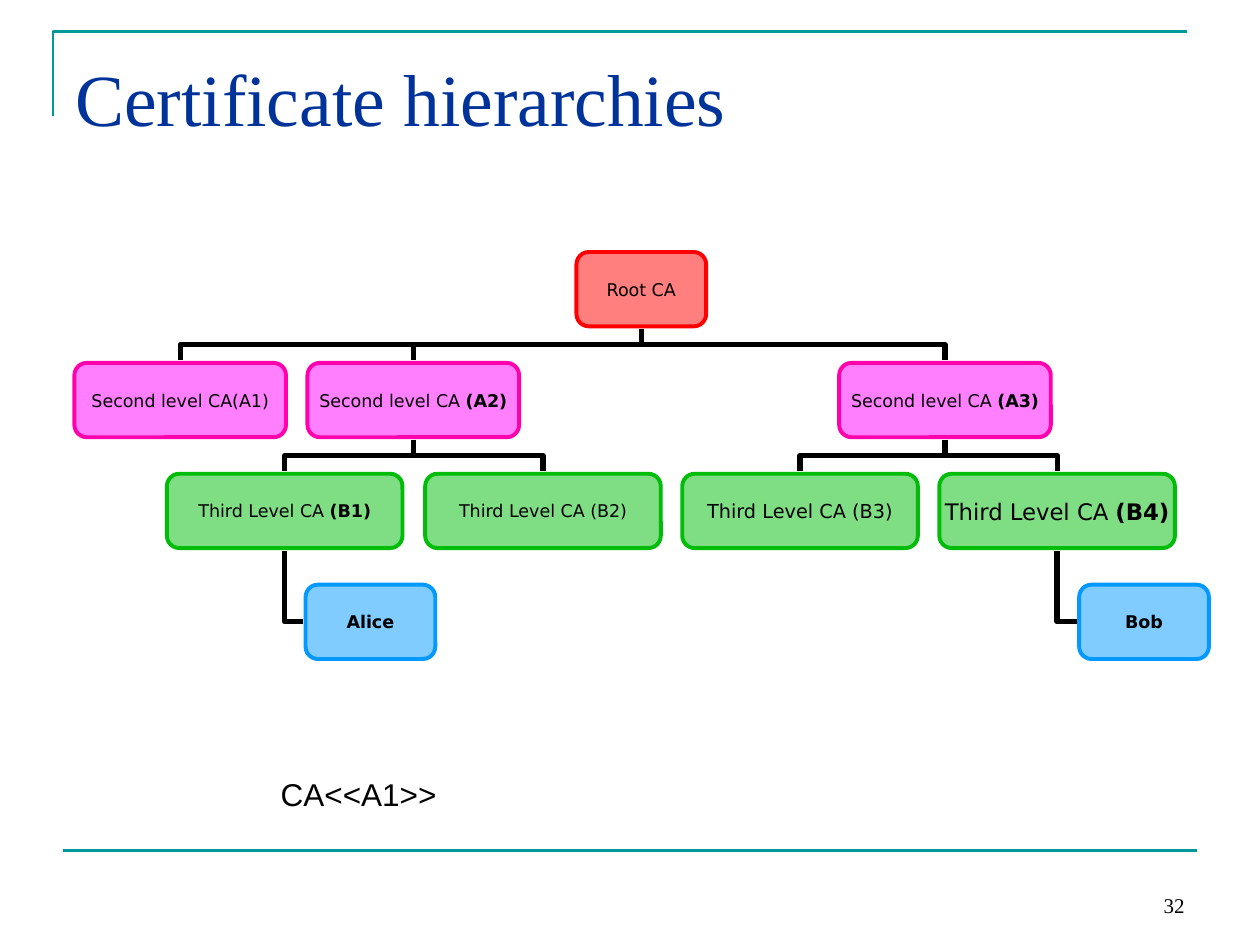
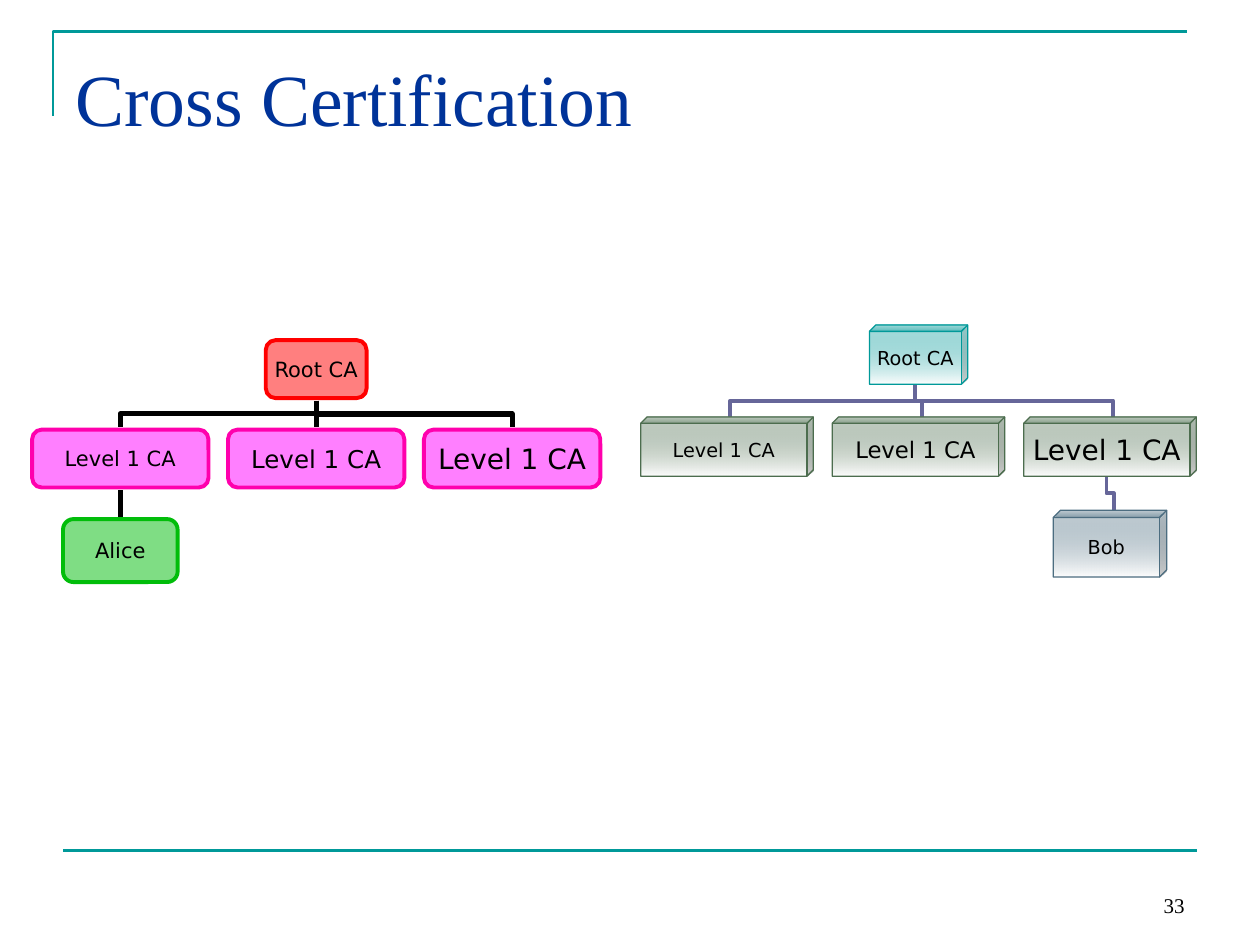
from pptx import Presentation
from pptx.dml.color import RGBColor
from pptx.enum.shapes import MSO_CONNECTOR, MSO_SHAPE
from pptx.enum.text import MSO_ANCHOR, PP_ALIGN
from pptx.oxml.ns import qn
from pptx.util import Inches, Pt

ELBOW, STRAIGHT = MSO_CONNECTOR.ELBOW, MSO_CONNECTOR.STRAIGHT
ROUND, CUBE = MSO_SHAPE.ROUNDED_RECTANGLE, MSO_SHAPE.CUBE
TOP, MIDDLE, BOTTOM = MSO_ANCHOR.TOP, MSO_ANCHOR.MIDDLE, MSO_ANCHOR.BOTTOM
LEFT, CENTER, RIGHT = PP_ALIGN.LEFT, PP_ALIGN.CENTER, PP_ALIGN.RIGHT

WIDE, HIGH = 10, 7.5
TEAL, NAVY, BLACK, WHITE = "009999", "003399", "000000", "FFFFFF"
SERIF, SANS, LABEL = "Times New Roman", "Arial", "DejaVu Sans"
RED, PINK = ("FF0000", "FF0000"), ("FF00FF", "FF00AD")
GREEN, BLUE = ("01BD0A", "01BD0A"), ("0399FF", "0399FF")
AQUA, MOSS, SLATE = (TEAL, TEAL), ("4C6D4E", "4C6D4E"), ("4C6D80", "4C6D80")

FLAT = dict(kind=ROUND, adj=0.167, alpha=50, edge=2.25, wire=(BLACK, 3), gap=0.02)
SOLID = dict(kind=CUBE, adj=0.108, alpha=40, edge=0.75, wire=("666699", 2.25), gap=0)

# levels: top, width, height, colours; nodes: key, parent, level, centre, size, plain, bold
CHAIN = dict(
    look=FLAT,
    levels=[(2 + 0.88 * row, width, 0.59, tint) for row, (width, tint) in
            enumerate([(1.03, RED), (1.68, PINK), (1.87, GREEN), (1.03, BLUE)])],
    nodes=[
        ("root", None, 0, 5.09, 10, "Root CA", ""),
        ("A1", "root", 1, 1.43, 10, "Second level CA(A1)", ""),
        ("A2", "root", 1, 3.28, 10, "Second level CA ", "(A2)"),
        ("A3", "root", 1, 7.5, 10, "Second level CA ", "(A3)"),
        ("B1", "A2", 2, 2.26, 10, "Third Level CA ", "(B1)"),
        ("B2", "A2", 2, 4.31, 10, "Third Level CA (B2)", ""),
        ("B3", "A3", 2, 6.35, 11, "Third Level CA (B3)", ""),
        ("B4", "A3", 2, 8.39, 13, "Third Level CA ", "(B4)"),
        ("Alice", "B1", 3, 2.94, 10, "", "Alice"),
        ("Bob", "B4", 3, 9.08, 10, "", "Bob"),
    ])


def cross(look, levels, mid, step, sizes, leaf, owner):
    """Describe a root with three CAs and one user under the CA numbered owner."""
    nodes = [("root", None, 0, mid, sizes[0], "Root CA", "")]
    nodes += [(col, "root", 1, mid + (col - 1) * step, size, "Level 1 CA", "")
              for col, size in enumerate(sizes)]
    nodes.append((leaf, owner, 2, mid + (owner - 1) * step, sizes[0], leaf, ""))
    return dict(look=look, levels=levels, nodes=nodes)


ALICE = cross(FLAT, [(2.7, 0.8, 0.46, RED), (3.41, 1.4, 0.46, PINK),
                     (4.12, 0.91, 0.5, GREEN)], 2.51, 1.555, (12, 14, 16), "Alice", 0)
BOB = cross(SOLID, [(2.58, 0.78, 0.47, AQUA), (3.31, 1.37, 0.47, MOSS),
                    (4.05, 0.9, 0.53, SLATE)], 7.29, 1.52, (11, 13, 16), "Bob", 2)

SLIDES = [
    (32, "Certificate hierarchies", [CHAIN], [(2.13, 6.1, 4.54, 0.4, "CA<<A1>>")]),
    (33, "Cross Certification", [ALICE, BOB], []),
]


def paint(hue):
    """Turn a hex string into a colour."""
    return RGBColor.from_string(hue)


def inches(*sides):
    """Convert lengths in inches."""
    return [Inches(side) for side in sides]


def style(para, size, face, hue, align):
    """Set the font and alignment of a paragraph."""
    para.alignment = align
    para.font.size, para.font.name = Pt(size), face
    para.font.color.rgb = paint(hue)


def write(slide, place, text, size, face, hue=BLACK, align=LEFT, anchor=TOP, inset=0.05):
    """Add a text box."""
    frame = slide.shapes.add_textbox(*inches(*place)).text_frame
    frame.word_wrap, frame.vertical_anchor = True, anchor
    frame.margin_top = Inches(inset)
    frame.text = text
    style(frame.paragraphs[0], size, face, hue, align)


def wire(slide, kind, ends, hue, width):
    """Add a connector without a shadow."""
    link = slide.shapes.add_connector(kind, *inches(*ends))
    link.line.color.rgb, link.line.width = paint(hue), Pt(width)
    props = link._element.spPr
    props.append(props.makeelement(qn("a:effectLst"), {}))
    return props


def drop(slide, start, end, pen):
    """Link a parent to a child below: down, across, down."""
    (x1, y1), (x2, y2) = start, end
    if abs(x2 - x1) < 0.01:
        wire(slide, STRAIGHT, (x1, y1, x1, y2), *pen)
        return
    mid, half = (x1 + x2) / 2, (y2 - y1) / 2
    level, reach = (y1 + y2) / 2, (x2 - x1) / 2
    props = wire(slide, ELBOW, (mid - half, level + reach, mid + half, level - reach), *pen)
    props.find(qn("a:xfrm")).set("rot", "5400000")


def hook(slide, start, end, pen):
    """Link a child's left side to the parent above it."""
    props = wire(slide, ELBOW, (*end, *start), *pen)
    props.find(qn("a:prstGeom")).set("prst", "bentConnector2")


def box(slide, look, place, tint, size, plain, bold):
    """Add one labelled node."""
    node = slide.shapes.add_shape(look["kind"], *inches(*place))
    node.shadow.inherit = False
    node.adjustments[0] = look["adj"]
    inner, outer = tint
    if look["kind"] == CUBE:
        node.fill.gradient()
        node.fill.gradient_angle = 270
        for stop, hue in zip(node.fill.gradient_stops, (inner, WHITE)):
            stop.color.rgb = paint(hue)
            stop.position = float(hue == WHITE)
    else:
        node.fill.solid()
        node.fill.fore_color.rgb = paint(inner)
    shade = next(node._element.spPr.iter(qn("a:srgbClr")))
    shade.append(shade.makeelement(qn("a:alpha"), {"val": str(look["alpha"] * 1000)}))
    node.line.color.rgb, node.line.width = paint(outer), Pt(look["edge"])
    frame = node.text_frame
    frame.word_wrap, frame.vertical_anchor = False, MIDDLE
    frame.margin_left = frame.margin_right = Inches(0.05)
    frame.margin_top = frame.margin_bottom = Inches(0.03)
    para = frame.paragraphs[0]
    for text, heavy in ((plain, False), (bold, True)):
        if text:
            run = para.add_run()
            run.text = text
            if heavy:
                run.font.bold = True
    style(para, size, LABEL, BLACK, CENTER)


def grow(slide, tree):
    """Draw the links of a tree, then its nodes."""
    look, levels = tree["look"], tree["levels"]
    spots = {node[0]: (node[3], *levels[node[2]][:3]) for node in tree["nodes"]}
    gap = look["gap"]
    for key, boss, *_ in tree["nodes"]:
        if boss is None:
            continue
        x1, top, _, tall = spots[boss]
        x2, y2, wide, high = spots[key]
        skew = look["adj"] * high / 2 if look["kind"] == CUBE else 0
        start = (x1 - skew, top + tall + gap)
        if tree is CHAIN and levels.index((y2, wide, high, BLUE)) == 3 if y2 == levels[-1][0] and tree is CHAIN else False:
            hook(slide, start, (x2 - wide / 2 - gap, y2 + high / 2), look["wire"])
        else:
            drop(slide, start, (x2 + skew, y2 - gap), look["wire"])
    for _, _, row, mid, size, plain, bold in tree["nodes"]:
        top, wide, high, tint = levels[row]
        box(slide, look, (mid - wide / 2, top, wide, high), tint, size, plain, bold)


def base(deck, number, title):
    """Add a slide with the frame, title and page number."""
    slide = deck.slides.add_slide(deck.slide_layouts[6])
    pen = slide.shapes.build_freeform(*inches(0.42, 0.92))
    pen.add_line_segments([inches(0.42, 0.25), inches(9.42, 0.25)], close=False)
    rule = pen.convert_to_shape()
    rule.shadow.inherit = False
    rule.fill.background()
    rule.line.color.rgb, rule.line.width = paint(TEAL), Pt(1.5)
    foot = HIGH * 0.9
    wire(slide, STRAIGHT, (WIDE * 0.05, foot, WIDE * 0.95, foot), TEAL, 1.5)
    write(slide, (7.17, 6.83, 2.33, 0.5), str(number), 12, SERIF, align=RIGHT, anchor=BOTTOM)
    write(slide, (0.5, 0.3, 9, 1.25), title, 42, SERIF, NAVY, inset=0.12)
    return slide


def main():
    """Build the deck."""
    deck = Presentation()
    deck.slide_width, deck.slide_height = inches(WIDE, HIGH)
    for number, title, trees, notes in SLIDES:
        slide = base(deck, number, title)
        for tree in trees:
            grow(slide, tree)
        for *place, text in notes:
            write(slide, place, text, 18, SANS)
    deck.save("out.pptx")


if __name__ == "__main__":
    main()
